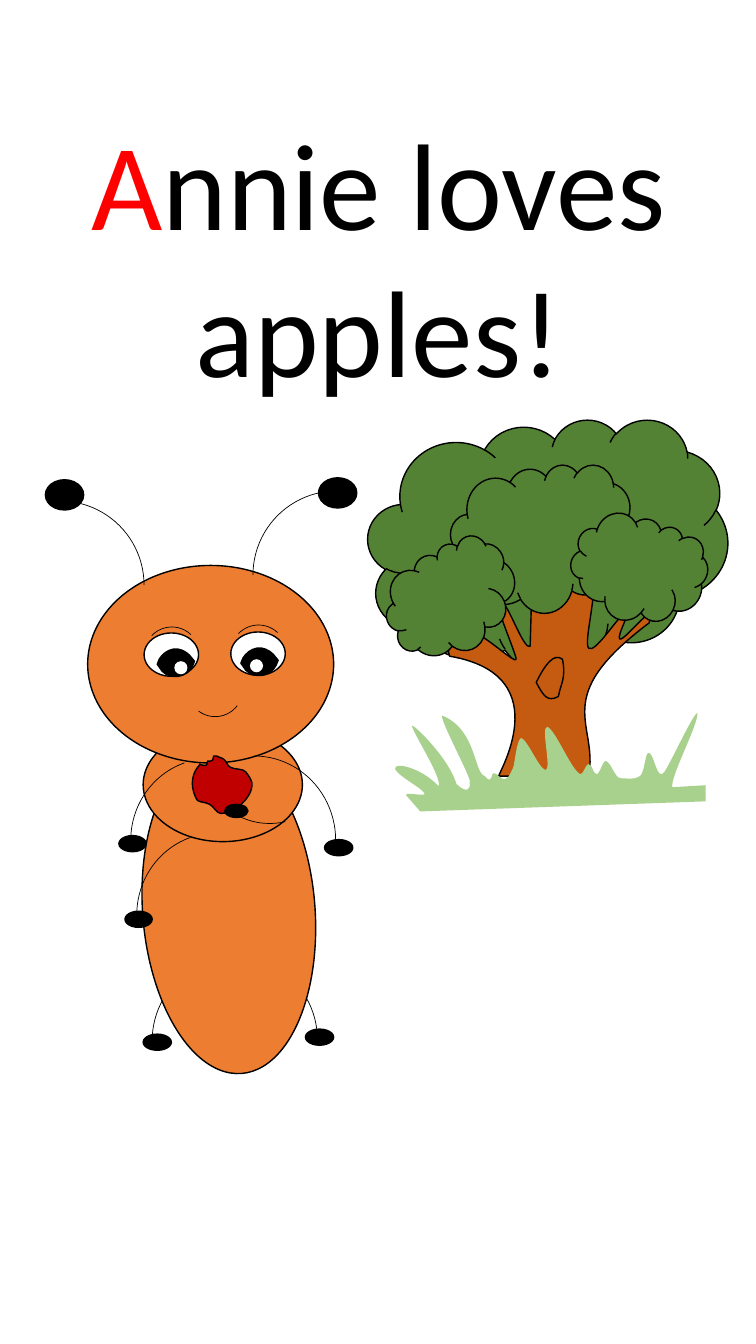
from dataclasses import dataclass
from math import cos, radians, sin

from lxml.etree import SubElement
from pptx import Presentation
from pptx.dml.color import RGBColor
from pptx.enum.shapes import MSO_SHAPE
from pptx.enum.text import MSO_ANCHOR, MSO_AUTO_SIZE, PP_ALIGN
from pptx.oxml.ns import qn
from pptx.util import Pt


@dataclass(frozen=True)
class Theme:
    font: str = "Calibri"
    title_size: float = 88
    outline: float = 1
    hairline: float = 0.5
    black: str = "000000"
    white: str = "FFFFFF"
    initial: str = "FF0000"
    leaf: str = "548235"
    bark: str = "C55A11"
    grass: str = "A9D18E"
    body: str = "ED7D31"
    apple: str = "C00000"


@dataclass(frozen=True)
class Box:
    left: float
    top: float
    width: float
    height: float


THEME = Theme()

# Outlines: a pair is a straight line, six numbers are a Bezier curve.
TRUNK = [
    (228, 172), (284, 172), (297, 175, 278, 237, 284, 243), (290, 249, 312, 213, 320, 208),
    (328, 203, 311, 232, 315, 234), (320, 236, 352, 192, 344, 218),
    (244, 293, 294, 317, 284, 370), (195, 370), (190, 374, 258, 270, 146, 251),
    (140, 228, 153, 231, 161, 231), (164, 211, 214, 264, 212, 253),
    (209, 241, 189, 196, 195, 196), (202, 191, 219, 246, 226, 241),
]
GRASS = [
    (103, 389), (101, 385, 124, 391, 121, 387), (119, 382, 95, 370, 92, 363),
    (90, 355, 119, 362, 135, 380), (140, 373, 106, 321, 109, 320),
    (112, 320, 145, 352, 153, 378), (163, 387, 167, 384, 166, 376),
    (170, 376, 134, 310, 139, 310), (173, 324, 170, 367, 181, 370),
    (189, 380, 187, 366, 190, 367), (193, 367, 198, 374, 201, 373),
    (206, 371, 206, 367, 209, 362), (211, 357, 212, 336, 217, 332),
    (224, 335, 234, 361, 241, 364), (248, 364, 236, 321, 243, 321),
    (252, 325, 267, 365, 276, 368), (279, 368, 281, 358, 284, 358),
    (288, 358, 288, 368, 292, 368), (295, 368, 298, 355, 301, 355),
    (306, 356, 310, 371, 315, 372), (321, 372, 330, 374, 335, 370),
    (340, 366, 340, 345, 344, 347), (349, 348, 352, 376, 359, 366),
    (366, 356, 386, 311, 392, 307), (393, 319, 365, 370, 367, 381),
    (400, 379), (400, 395), (117, 405),
]
KNOT = [
    (232, 277), (240, 261, 249, 247, 258, 254), (262, 273, 256, 279, 254, 291),
    (243, 297, 239, 290, 232, 277),
]
PUPIL = [
    (0, 15), (2, 10), (5, 5, 10, 1, 16, 0), (22, -1, 28, 2, 32, 6), (37, 12), (35, 17),
    (32, 23, 27, 26, 21, 27), (15, 28, 9, 26, 5, 22),
]
APPLE = [
    (250, 377), (251, 393, 229, 408, 219, 407), (215, 407, 212, 400, 208, 398),
    (203, 395, 195, 397, 194, 391), (188, 378, 191, 366, 198, 359), (198, 358), (200, 359),
    (202, 360, 204, 359, 205, 359), (206, 355), (208, 356, 209, 355, 211, 354), (212, 350),
    (213, 350), (215, 350, 216, 350, 217, 351), (227, 354, 224, 359, 228, 361),
    (233, 364, 241, 362, 244, 366), (247, 370, 249, 373, 250, 377),
]


def rotate(point, degrees):
    x, y = point
    cosine, sine = cos(radians(degrees)), sin(radians(degrees))
    return round(x * cosine - y * sine), round(x * sine + y * cosine)


def apply_format(target, values):
    for name, value in values.items():
        setattr(target, name, value)


class Drawing:
    """A group whose parts are placed on a grid of the given width inside a box."""

    def __init__(self, slide, box, columns):
        self.shapes = slide.shapes.add_group_shape().shapes
        self.box = box
        self.unit = box.width / columns

    def position(self, x, y):
        return Pt(self.box.left + x * self.unit), Pt(self.box.top + y * self.unit)

    def paint(self, shape, fill, line):
        shape.shadow.inherit = False
        if fill:
            shape.fill.solid()
            shape.fill.fore_color.rgb = RGBColor.from_string(fill)
        else:
            shape.fill.background()
        if line:
            shape.line.color.rgb = RGBColor.from_string(THEME.black)
            shape.line.width = Pt(line)
        else:
            shape.line.fill.background()
        return shape

    def preset(self, kind, area, fill=None, line=THEME.outline, rotation=0):
        x, y, width, height = area
        shape = self.shapes.add_shape(kind, *self.position(x, y),
                                      Pt(width * self.unit), Pt(height * self.unit))
        shape.rotation = rotation
        return self.paint(shape, fill, line)

    def ellipse(self, area, fill=THEME.black, **options):
        return self.preset(MSO_SHAPE.OVAL, area, fill, **options)

    def arc(self, area, flip=False, rotation=0, angles=()):
        shape = self.preset(MSO_SHAPE.ARC, area, line=THEME.hairline, rotation=rotation)
        if flip:
            shape.element.spPr.get_or_add_xfrm().set("flipH", "1")
        for index, angle in enumerate(angles):
            shape.adjustments[index] = angle

    def outline(self, segments, fill=None, line=THEME.outline, offset=(0, 0), rotation=0):
        # Points are turned back first, so that the shape's rotation restores them
        segments = [[rotate(self.position(x + offset[0], y + offset[1]), -rotation)
                     for x, y in zip(segment[::2], segment[1::2])] for segment in segments]
        builder = self.shapes.build_freeform(*segments[0][0])
        builder.add_line_segments([segment[-1] for segment in segments[1:]], close=True)
        shape = builder.convert_to_shape()
        nodes = list(shape.element.spPr.iter(qn("a:lnTo")))
        for node, (*controls, _) in zip(nodes, segments[1:]):
            if controls:
                node.tag = qn("a:cubicBezTo")
            for index, (x, y) in enumerate(controls):
                control = SubElement(node, qn("a:pt"), x=str(x - shape.left), y=str(y - shape.top))
                node.insert(index, control)
        center = rotate((shape.left + shape.width / 2, shape.top + shape.height / 2), rotation)
        apply_format(shape, {"left": round(center[0] - shape.width / 2),
                             "top": round(center[1] - shape.height / 2), "rotation": rotation})
        self.paint(shape, fill, line)


def add_title(slide, box):
    title = slide.shapes.title
    apply_format(title, {name: Pt(getattr(box, name)) for name in ("left", "top", "width", "height")})
    apply_format(title.text_frame, {"word_wrap": True, "vertical_anchor": MSO_ANCHOR.TOP,
                                    "auto_size": MSO_AUTO_SIZE.SHAPE_TO_FIT_TEXT})
    paragraph = title.text_frame.paragraphs[0]
    apply_format(paragraph, {"alignment": PP_ALIGN.CENTER, "line_spacing": 1.0, "space_before": Pt(0)})
    for text, color in (("A", THEME.initial), ("nnie loves apples!", THEME.black)):
        run = paragraph.add_run()
        run.text = text
        apply_format(run.font, {"name": THEME.font, "size": Pt(THEME.title_size)})
        run.font.color.rgb = RGBColor.from_string(color)


def add_tree(slide, box):
    tree = Drawing(slide, box, columns=450)
    # Crown behind the trunk, then the leaves in front
    tree.preset(MSO_SHAPE.CLOUD, (65, 16, 357, 252), THEME.leaf)
    tree.outline(TRUNK, THEME.bark)
    for area, rotation in (((147, 61, 182, 147), 0), ((267, 112, 133, 106), 26.5),
                           ((81, 142, 133, 106), 338.5)):
        tree.preset(MSO_SHAPE.CLOUD, area, THEME.leaf, rotation=rotation)
    tree.outline(GRASS, THEME.grass, line=None, rotation=356.8)
    tree.outline(KNOT)


def add_ant(slide, box):
    ant = Drawing(slide, box, columns=400)
    # Hind legs, body and head
    ant.arc((151, 549, 167, 167), flip=True)
    ant.arc((148, 548, 167, 167))
    ant.ellipse((65, 418, 324, 171), THEME.body, rotation=85.5)
    ant.ellipse((142, 322, 158, 113), THEME.body)
    ant.ellipse((87, 161, 244, 196), THEME.body)
    # Right arm and antennae
    ant.arc((171, 350, 162, 167))
    ant.arc((251, 87, 167, 167), flip=True)
    ant.arc((-24, 97, 167, 167))
    for x, y in ((316, 74), (45, 76)):
        ant.ellipse((x, y, 38, 30))
    for x, y in ((322, 433), (303, 621), (142, 626)):
        ant.ellipse((x, y, 28, 16))
    # Brows and eyes
    brows = ((229, 220), (143, 222))
    for x, y in brows:
        ant.arc((x, y, 55, 55), flip=True, rotation=43.5)
    for eye, pupil, glint in (((229, 227), (239, 243), (248, 254)),
                              ((143, 228), (156, 244), (173, 256))):
        ant.ellipse((*eye, 54, 43), THEME.white)
        ant.outline(PUPIL, THEME.black, offset=pupil, rotation=262.1)
        ant.ellipse((*glint, 13, 13), THEME.white, line=None)
    # Left arms
    for arm, hand in (((130, 352), (118, 429)), ((136, 426), (124, 504))):
        ant.arc((*arm, 162, 167), flip=True, rotation=340.4, angles=(162, 204.02))
        ant.ellipse((*hand, 27, 16))
    # Smile, and the hand that holds the apple
    ant.arc((186, 256, 55, 55), flip=True, rotation=217)
    ant.arc((200, 282, 135, 135), rotation=184.4, angles=(151.32, 181.27))
    ant.outline(APPLE, THEME.apple, rotation=50.6)
    ant.ellipse((223, 398, 23, 13))


def main():
    presentation = Presentation()
    apply_format(presentation, {"slide_width": Pt(540), "slide_height": Pt(960)})
    slide = presentation.slides.add_slide(presentation.slide_layouts.get_by_name("Title Only"))
    add_tree(slide, Box(216, 288, 324, 300))
    add_ant(slide, Box(0, 288, 288, 525))
    add_title(slide, Box(41, 72.7, 458.6, 220.3))
    presentation.save("out.pptx")


if __name__ == "__main__":
    main()
